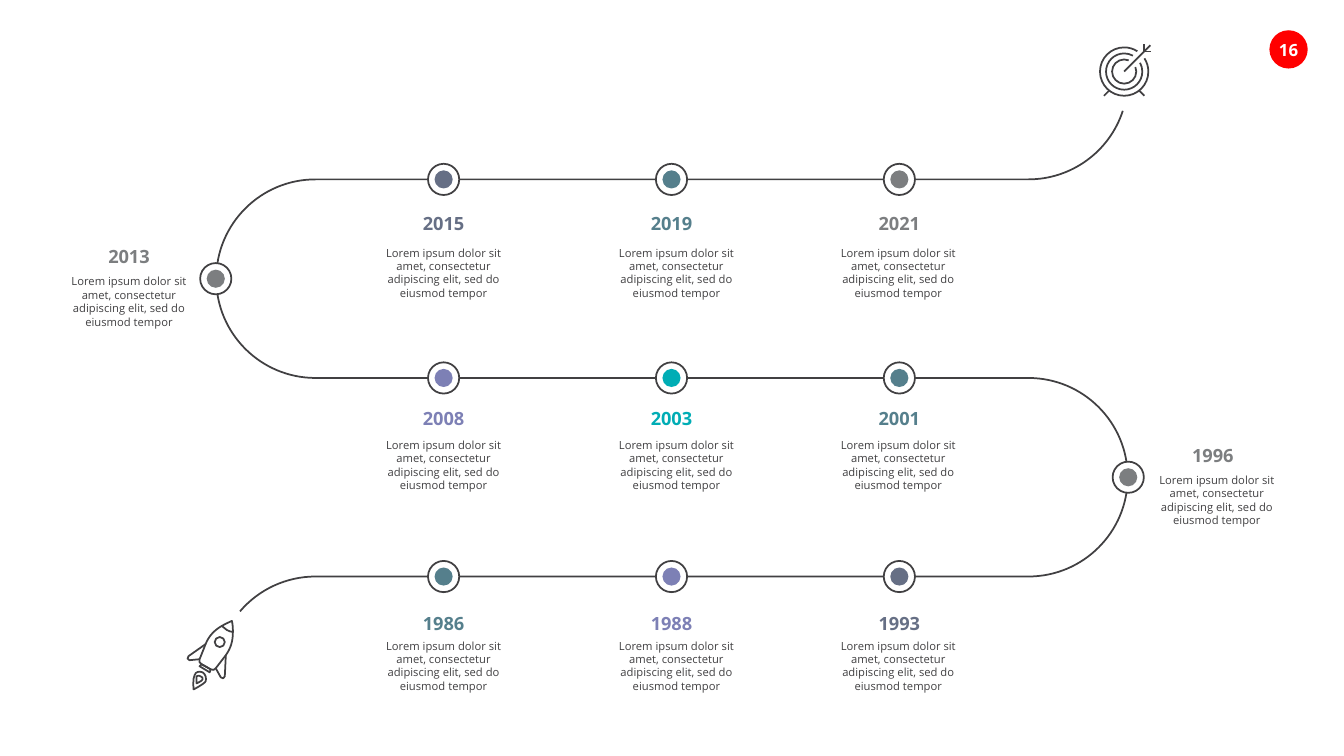
import math
import lxml.etree
import pptx
import pptx.util
import pptx.dml.color
import pptx.enum.shapes
import pptx.enum.text
import pptx.oxml.ns

# Content
INK, WHITE, RED = "414042", "FFFFFF", "FF0000"
TEAL, PLUM, SLATE = "557F8C", "7D80B5", "666F85"
GRAY, AQUA = "7C7E80", "00ADB5"
FONT = "Open Sans"
PAGE = "16"
NOTE = ("Lorem ipsum dolor sit amet, consectetur adipiscing elit, "
        "sed do eiusmod tempor")

# Each row: stops from left to right, top of years, top of notes
ROWS = [
    ([("2015", SLATE), ("2019", TEAL), ("2021", GRAY)], 2.11, 2.39),
    ([("2008", PLUM), ("2003", AQUA), ("2001", TEAL)], 4.04, 4.3),
    ([("1986", TEAL), ("1988", PLUM), ("1993", SLATE)], 6.07, 6.29),
]
# Each bend: year, color, dot x, year mid, note mid, row above
BENDS = [("2013", GRAY, 2.14, 1.28, 1.28, 0),
         ("1996", GRAY, 11.19, 12.03, 12.07, 1)]

# Geometry
TOP, PITCH = 1.78, 1.97
RADIUS = PITCH / 2
LEFT, RIGHT = 3.13, 10.2
COLS = [4.4, 6.66, 8.92]
NOTE_MIDS = [4.4, 6.71, 8.91]
RING, CORE = 0.31, 0.18
YEAR_W, YEAR_H = 0.44, 0.22
NOTE_W, NOTE_H = 1.45, 0.64
EYE = (11.15, 0.71)
# Target rings: radius and half of the gap in degrees
TARGET = [(0.24, 12), (0.18, 16), (0.12, 23)]
SHAFT = [
    [EYE, (11.41, 0.45)],
    [(11.35, 0.44), (11.35, 0.51), (11.42, 0.51)],
    [(10.95, 0.95), (11, 0.9)],
    [(11.3, 0.9), (11.35, 0.95)],
]
# Rocket strokes: a pair is a line end, six numbers are a curve
ROCKET = [
    [(2.2, 6.21), (2.23, 6.19, 2.26, 6.18, 2.3, 6.16),
     (2.31, 6.2, 2.31, 6.24, 2.31, 6.27),
     (2.31, 6.36, 2.29, 6.43, 2.24, 6.5), (2.14, 6.63),
     (2.13, 6.65, 2.11, 6.65, 2.09, 6.64), (2, 6.59),
     (1.98, 6.58, 1.97, 6.56, 1.98, 6.54), (2.04, 6.39),
     (2.07, 6.31, 2.13, 6.25, 2.2, 6.21)],
    [(2.2, 6.21), (2.25, 6.25), (2.27, 6.26, 2.29, 6.27, 2.31, 6.27)],
    [(2.04, 6.39), (1.87, 6.51), (1.85, 6.52, 1.86, 6.55, 1.88, 6.55),
     (1.98, 6.54)],
    [(2.14, 6.63), (2.19, 6.72), (2.2, 6.74, 2.23, 6.73, 2.23, 6.71),
     (2.24, 6.5)],
    [(2.09, 6.64), (2, 6.59), (1.98, 6.61), (2.08, 6.67), (2.09, 6.64)],
    [(2.01, 6.67), (1.98, 6.66, 1.94, 6.66, 1.93, 6.7),
     (1.91, 6.73, 1.92, 6.84, 1.92, 6.84),
     (1.92, 6.84, 2.02, 6.79, 2.04, 6.76),
     (2.05, 6.73, 2.04, 6.69, 2.01, 6.67)],
    [(1.99, 6.71), (1.98, 6.7, 1.96, 6.7, 1.95, 6.71),
     (1.95, 6.73, 1.95, 6.78, 1.95, 6.78),
     (1.95, 6.78, 2, 6.76, 2.01, 6.74),
     (2.01, 6.73, 2.01, 6.71, 1.99, 6.71)],
]
PORT = (2.18, 6.37, 0.05)

inch = pptx.util.Inches
qn = pptx.oxml.ns.qn
prs = pptx.Presentation()
prs.slide_width, prs.slide_height = inch(13.33), inch(7.5)
slide = prs.slides.add_slide(prs.slide_layouts[6])


def color(code):
    return pptx.dml.color.RGBColor.from_string(code)


def outline(shape):
    shape.line.color.rgb = color(INK)
    shape.line.width = pptx.util.Pt(1.25)


def arc(x, y, r, start, end):
    """Curves round a centre, cut at each quarter turn."""
    low, high = sorted((start, end))
    cuts = [a for a in range(-360, 361, 90) if low < a < high]
    turns = [math.radians(a) for a in
             sorted([low, *cuts, high], reverse=start > end)]
    steps = [(x + r * math.cos(turns[0]), y + r * math.sin(turns[0]))]
    for a, b in zip(turns, turns[1:]):
        k = 4 / 3 * math.tan((b - a) / 4)
        ca, sa, cb, sb = math.cos(a), math.sin(a), math.cos(b), math.sin(b)
        steps.append((x + r * (ca - k * sa), y + r * (sa + k * ca),
                      x + r * (cb + k * sb), y + r * (sb - k * cb),
                      x + r * cb, y + r * sb))
    return steps


def draw(strokes):
    pen = None
    for stroke in strokes:
        pts = [(inch(s[-2]), inch(s[-1])) for s in stroke]
        if pen is None:
            pen = slide.shapes.build_freeform(*pts[0], scale=1.0)
        else:
            pen.move_to(*pts[0])
        pen.add_line_segments(pts[1:], close=pts[0] == pts[-1])
    shape = pen.convert_to_shape()
    # Bend the segments that are curves
    steps = [s for stroke in strokes for s in stroke[1:]]
    for line, step in zip(list(shape.element.iter(qn("a:lnTo"))), steps):
        if len(step) == 6:
            curve = lxml.etree.Element(qn("a:cubicBezTo"))
            for x, y in zip(step[::2], step[1::2]):
                lxml.etree.SubElement(curve, qn("a:pt"),
                                      x=str(inch(x) - shape.left),
                                      y=str(inch(y) - shape.top))
            line.getparent().replace(line, curve)
    shape.shadow.inherit = False
    shape.fill.background()
    outline(shape)


def disc(home, x, y, size, fill):
    shape = home.add_shape(pptx.enum.shapes.MSO_SHAPE.OVAL, inch(x - size / 2),
                           inch(y - size / 2), inch(size), inch(size))
    shape.shadow.inherit = False
    shape.fill.solid()
    shape.fill.fore_color.rgb = color(fill)
    shape.line.fill.background()
    return shape


def dot(x, y, fill):
    group = slide.shapes.add_group_shape()
    outline(disc(group.shapes, x, y, RING, WHITE))
    disc(group.shapes, x, y, CORE, fill)


def write(shape, text, size, tint, bold=False, wrap=False, pad=True):
    frame = shape.text_frame
    frame.text = text
    frame.word_wrap = wrap
    if not pad:
        frame.margin_left = frame.margin_right = 0
        frame.margin_top = frame.margin_bottom = 0
    para = frame.paragraphs[0]
    para.alignment = pptx.enum.text.PP_ALIGN.CENTER
    font = para.runs[0].font
    font.name, font.size, font.bold = FONT, pptx.util.Pt(size), bold
    font.color.rgb = color(tint)


def box(mid, top, wide, high):
    shape = slide.shapes.add_textbox(inch(mid - wide / 2), inch(top),
                                     inch(wide), inch(high))
    shape.text_frame.auto_size = pptx.enum.text.MSO_AUTO_SIZE.SHAPE_TO_FIT_TEXT
    return shape


def stop(x, y, year, tint, year_mid, year_top, note_mid, note_top):
    dot(x, y, tint)
    write(box(year_mid, year_top, YEAR_W, YEAR_H), year, 13, tint,
          bold=True, pad=False)
    write(box(note_mid, note_top, NOTE_W, NOTE_H), NOTE, 8, INK, wrap=True)


# Page badge
badge = disc(slide.shapes, 12.78, 0.49, 0.38, RED)
write(badge, PAGE, 12, WHITE, bold=True, pad=False)

# Winding road, from the target down to the rocket
draw([arc(RIGHT, TOP - RADIUS, RADIUS, 18, 90)
      + arc(LEFT, TOP + RADIUS, RADIUS, 270, 90)
      + arc(RIGHT, TOP + PITCH + RADIUS, RADIUS, -90, 90)
      + arc(LEFT, TOP + 2 * PITCH + RADIUS, RADIUS, 270, 220.5)])

# Stops on the straight rows
for i, (stops, year_top, note_top) in enumerate(ROWS):
    for (year, tint), x, mid in zip(stops, COLS, NOTE_MIDS):
        stop(x, TOP + i * PITCH, year, tint, x, year_top, mid, note_top)

# Stops on the bends
for year, tint, x, year_mid, note_mid, row in BENDS:
    y = TOP + row * PITCH + RADIUS
    stop(x, y, year, tint, year_mid, y - 0.33, note_mid, y - 0.09)

# Target and rocket
draw([arc(*EYE, r, gap - 45, 315 - gap) for r, gap in TARGET] + SHAFT)
draw(ROCKET + [arc(*PORT, 0, 360)])

prs.save("out.pptx")
